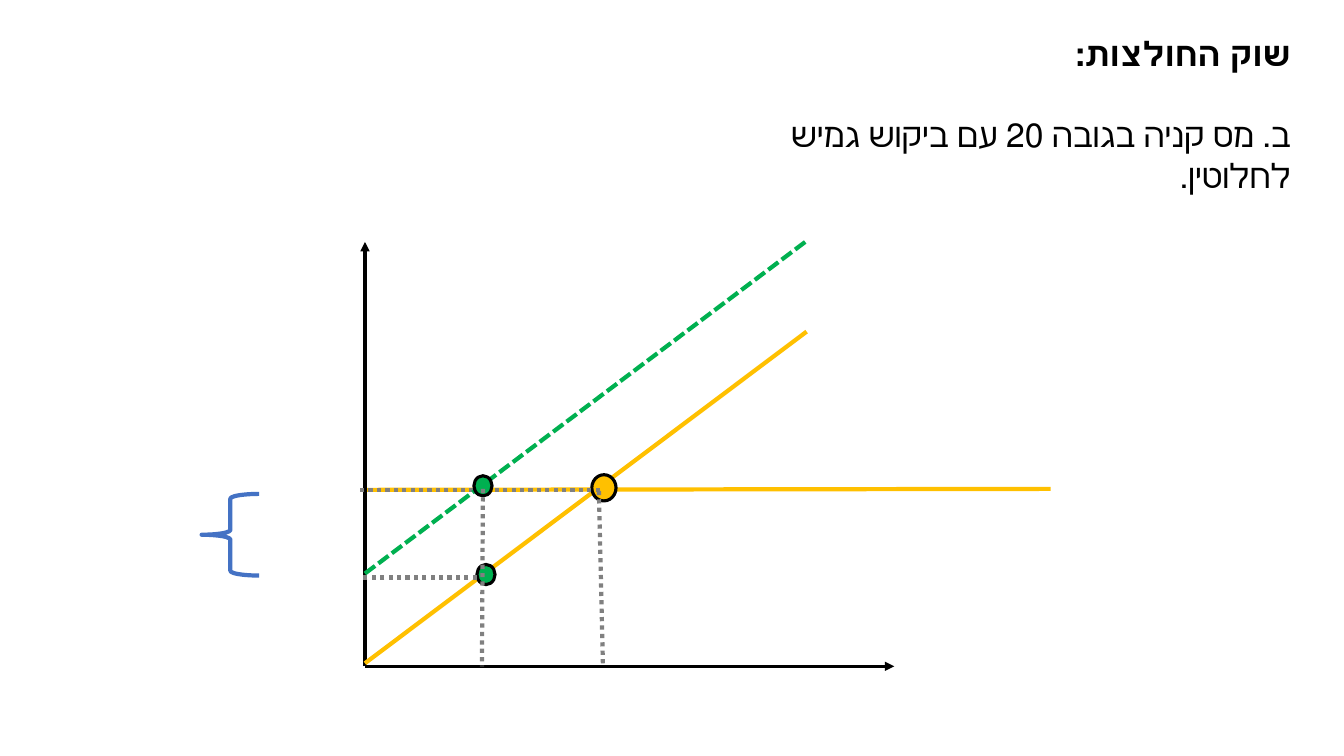
import pptx
import pptx.util
import pptx.dml.color
import pptx.enum.dml
import pptx.enum.lang
import pptx.enum.shapes
import pptx.enum.text
import pptx.oxml
import pptx.oxml.ns

Inches = pptx.util.Inches
Pt = pptx.util.Pt
RGBColor = pptx.dml.color.RGBColor
DASH = pptx.enum.dml.MSO_LINE
SHAPE = pptx.enum.shapes.MSO_SHAPE

BLACK = RGBColor(0, 0, 0)
GOLD = RGBColor(0xFF, 0xC0, 0x00)
GREEN = RGBColor(0x00, 0xB0, 0x50)
GRAY = RGBColor(0x80, 0x80, 0x80)
BLUE = RGBColor(0x44, 0x72, 0xC4)

deck = pptx.Presentation()
deck.slide_width = Inches(13.33)
deck.slide_height = Inches(7.5)
slide = deck.slides.add_slide(deck.slide_layouts[6])
shapes = slide.shapes


def add_line(start, end, color, width=3, dash=None, arrow=False):
    line = shapes.add_connector(
        pptx.enum.shapes.MSO_CONNECTOR.STRAIGHT,
        *[Inches(v) for v in start + end])
    line.line.color.rgb = color
    line.line.width = Pt(width)
    if dash:
        line.line.dash_style = dash
    if arrow:
        tail = pptx.oxml.ns.qn("a:tailEnd")
        line.line._get_or_add_ln().makeelement(tail)
        head = pptx.oxml.parse_xml(
            '<a:tailEnd %s type="triangle"/>' % pptx.oxml.ns.nsdecls("a"))
        line.line._get_or_add_ln().append(head)
    line.element.spPr.append(pptx.oxml.parse_xml(
        "<a:effectLst %s/>" % pptx.oxml.ns.nsdecls("a")))


def add_mark(kind, box, fill, color, width):
    mark = shapes.add_shape(kind, *[Inches(v) for v in box])
    mark.shadow.inherit = False
    if fill is None:
        mark.fill.background()
    else:
        mark.fill.solid()
        mark.fill.fore_color.rgb = fill
    mark.line.color.rgb = color
    mark.line.width = Pt(width)


left, base = 3.62, 6.61

add_line((left, 4.86), (10.42, 4.85), GOLD)
for end in [(left, 2.4), (8.87, base)]:
    add_line((left, base), end, BLACK, 2.25, arrow=True)
add_line((left, 6.58), (8, 3.29), GOLD)
add_mark(SHAPE.OVAL, (5.87, 4.71, 0.24, 0.26), GOLD, BLACK, 2.25)

box = shapes.add_textbox(Inches(6.68), Inches(0.28), Inches(6.22), Inches(1.31))
frame = box.text_frame
frame.word_wrap = True
texts = [
    ("שוק החולצות:", True, 0),
    ("ב. מס קניה בגובה 20 עם ביקוש גמיש לחלוטין.", False, 29),
]
for i, (text, bold, gap) in enumerate(texts):
    para = frame.add_paragraph() if i else frame.paragraphs[0]
    para.alignment = pptx.enum.text.PP_ALIGN.RIGHT
    para.space_before = Pt(gap)
    para._p.get_or_add_pPr().set("rtl", "1")
    run = para.add_run()
    run.text = text
    run.font.color.rgb = BLACK
    style = {"name": "Calibri", "size": Pt(24), "bold": bold,
             "language_id": pptx.enum.lang.MSO_LANGUAGE_ID.HEBREW}
    for key, value in style.items():
        setattr(run.font, key, value)

add_line((5.94, 4.87), (5.98, 6.6), GRAY, dash=DASH.ROUND_DOT)
add_line((5.95, 4.86), (3.53, 4.86), GRAY, dash=DASH.ROUND_DOT)
add_line((left, 5.69), (8, 2.39), GREEN, dash=DASH.SQUARE_DOT)
for x, y in [(4.7, 4.72), (4.73, 5.6)]:
    add_mark(SHAPE.OVAL, (x, y, 0.18, 0.2), GREEN, BLACK, 2.25)
add_line((4.79, 4.85), (4.78, base), GRAY, dash=DASH.ROUND_DOT)
add_line((4.73, 5.73), (3.59, 5.73), GRAY, dash=DASH.ROUND_DOT)
add_mark(SHAPE.LEFT_BRACE, (2, 4.9, 0.57, 0.81), None, BLUE, 3)

deck.save("out.pptx")
